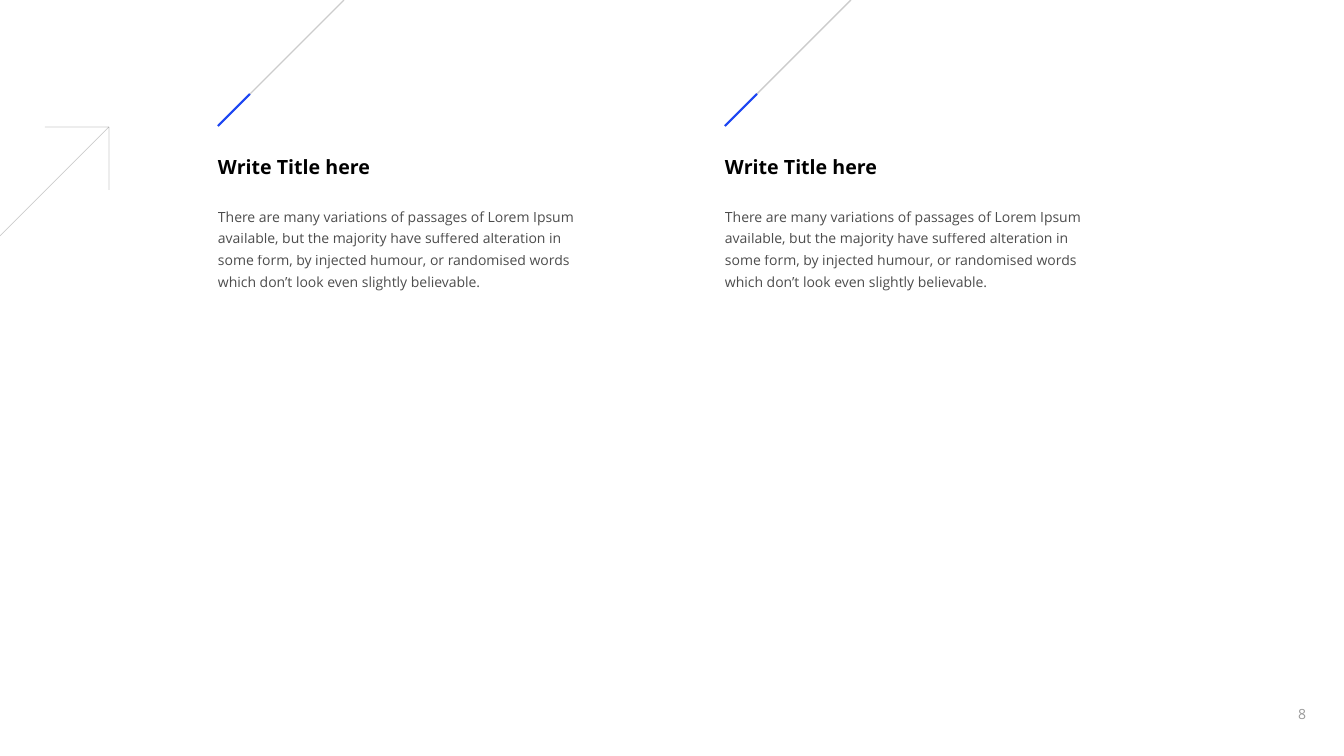
from dataclasses import dataclass

from lxml import etree
from pptx import Presentation
from pptx import util as u
from pptx.dml.color import RGBColor
from pptx.enum import shapes, text
from pptx.oxml import ns

EMU_PER_PX = 914400 / 100.8
FONT = "Open Sans"
BLACK = RGBColor(0x00, 0x00, 0x00)
BLUE = RGBColor(0x1D, 0x46, 0xF3)
TITLE = "Write Title here"
BODY = (
    "There are many variations of passages of Lorem Ipsum available, "
    "but the majority have suffered alteration in some form, by injected "
    "humour, or randomised words which don\u2019t look even slightly believable."
)
COLUMN_LEFTS = (218, 725)
ACCENT_BOTTOM = 126
ACCENT_RISE = 32


@dataclass(frozen=True)
class Stroke:
    """Line from one pixel point to another."""
    start: tuple[int, int]
    end: tuple[int, int]
    width: float
    color: RGBColor = BLACK
    opacity: int = 20


@dataclass(frozen=True)
class Label:
    """Text box with its pixel place and its type style."""
    words: str
    box: tuple[int, int, int, int]
    size: int
    opacity: int = 100
    bold: bool = False
    wrap: bool = True
    spacing: float = 1.0
    inset: int = 5
    align: text.PP_ALIGN = text.PP_ALIGN.LEFT
    anchor: text.MSO_ANCHOR = text.MSO_ANCHOR.TOP


def px(value: int) -> u.Emu:
    """Turn pixels into EMU."""
    return u.Emu(round(value * EMU_PER_PX))


def set_opacity(element, opacity: int) -> None:
    """Make the first solid colour inside the element translucent."""
    if opacity < 100:
        color = element.find(".//" + ns.qn("a:srgbClr"))
        etree.SubElement(color, ns.qn("a:alpha"), val=str(opacity * 1000))


def draw_stroke(s, stroke: Stroke) -> None:
    """Draw a straight line without a shadow."""
    line = s.shapes.add_connector(
        shapes.MSO_CONNECTOR.STRAIGHT,
        *(px(v) for v in stroke.start + stroke.end),
    )
    line.line.width = u.Pt(stroke.width)
    line.line.color.rgb = stroke.color
    sp_pr = line._element.spPr
    set_opacity(sp_pr, stroke.opacity)
    etree.SubElement(sp_pr, ns.qn("a:effectLst"))


def draw_label(s, label: Label) -> None:
    """Draw a text box holding one paragraph."""
    sp = s.shapes.add_textbox(*(px(v) for v in label.box))
    tf = sp.text_frame
    tf.word_wrap = label.wrap
    tf.vertical_anchor = label.anchor
    tf.margin_left = tf.margin_right = 0
    tf.margin_top = tf.margin_bottom = px(label.inset)
    tf.text = label.words
    p = tf.paragraphs[0]
    p.alignment = label.align
    p.line_spacing = label.spacing
    r = p.runs[0]
    r.font.name = FONT
    r.font.size = u.Pt(label.size)
    r.font.bold = label.bold
    r.font.color.rgb = BLACK
    set_opacity(r._r, label.opacity)


def draw_column(s, left: int) -> None:
    """Draw a title and body under a diagonal with a blue tip."""
    draw_label(s, Label(TITLE, (left, 150, 153, 34), 14, bold=True, wrap=False))
    draw_label(s, Label(BODY, (left, 198, 375, 99), 10, opacity=70, spacing=1.3))
    foot = (left, ACCENT_BOTTOM)
    draw_stroke(s, Stroke(foot, (left + ACCENT_BOTTOM, 0), 1))
    tip = (left + ACCENT_RISE, ACCENT_BOTTOM - ACCENT_RISE)
    draw_stroke(s, Stroke(foot, tip, 1.5, BLUE, 100))


def draw_corner_arrow(s) -> None:
    """Draw the large thin arrow at the left edge."""
    point = (109, 127)
    for end in ((0, 236), (109, 190), (45, 127)):
        draw_stroke(s, Stroke(point, end, 0.5))


def main() -> None:
    """Build and save the slide."""
    prs = Presentation()
    prs.slide_width, prs.slide_height = px(1344), px(756)
    s = prs.slides.add_slide(prs.slide_layouts[6])
    draw_corner_arrow(s)
    draw_label(s, Label("8", (1274, 701, 56, 25), 10, opacity=40, inset=0,
                        align=text.PP_ALIGN.CENTER,
                        anchor=text.MSO_ANCHOR.MIDDLE))
    for left in COLUMN_LEFTS:
        draw_column(s, left)
    prs.save("out.pptx")


main()
